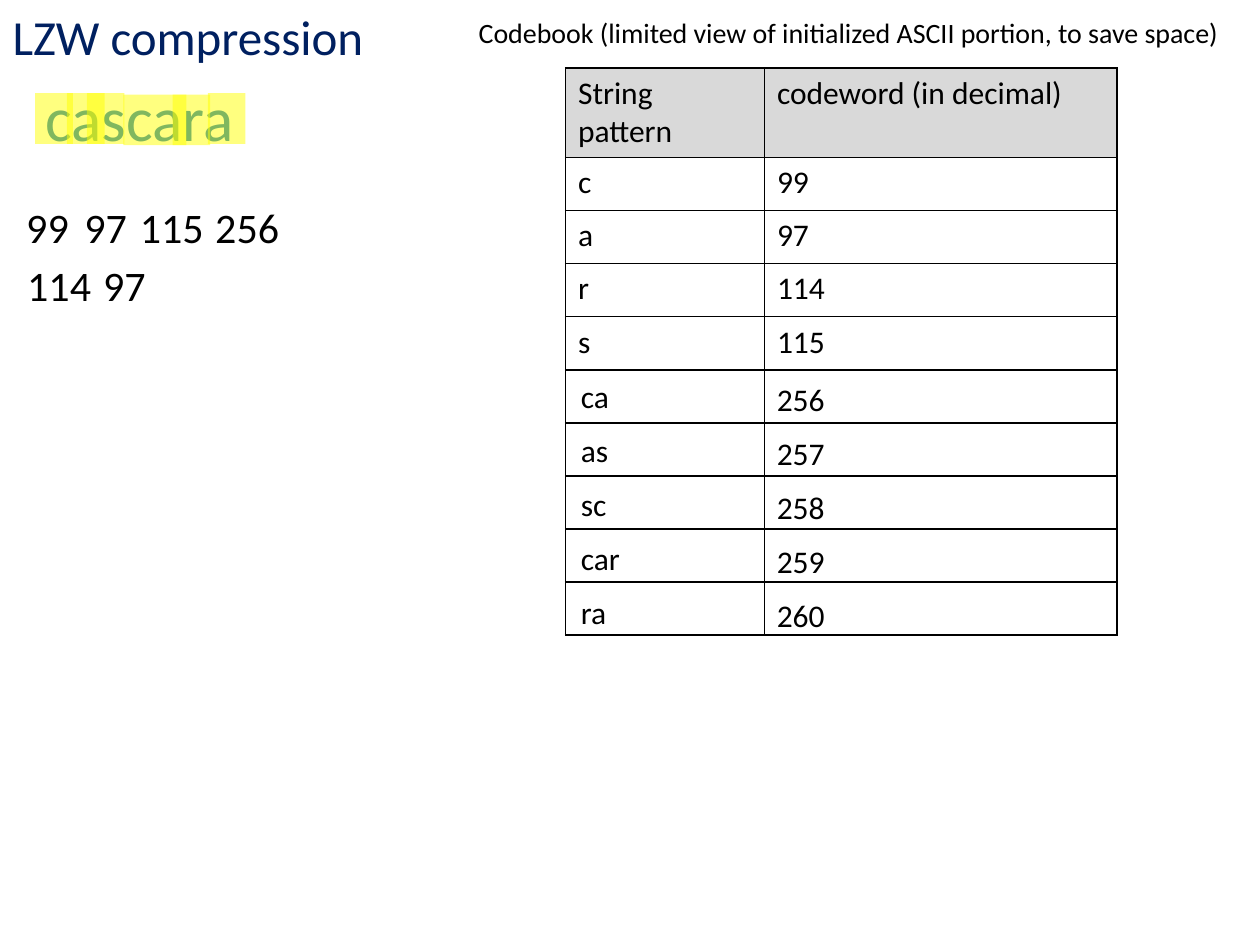
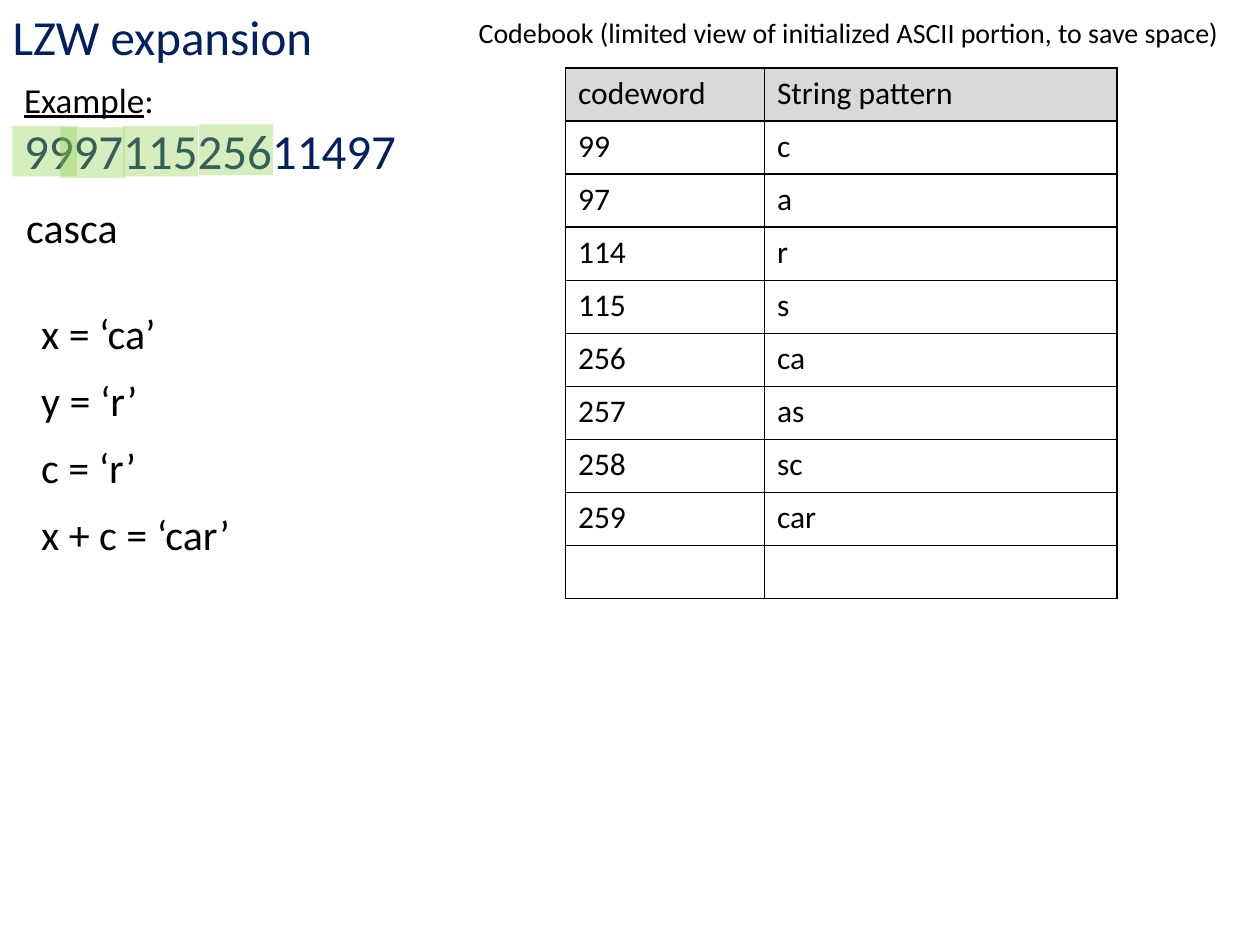
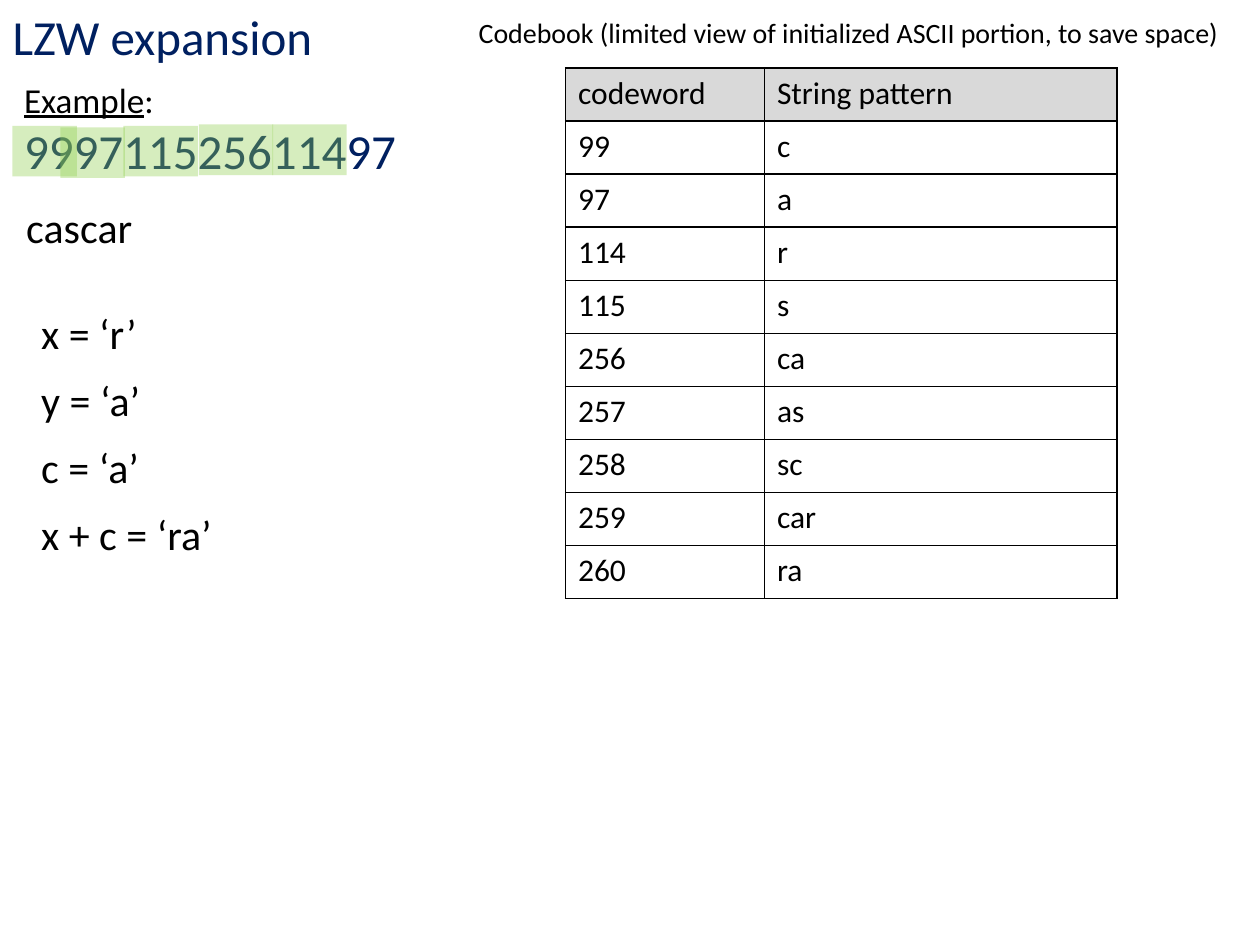
from dataclasses import dataclass

from lxml.etree import SubElement
from pptx import Presentation
from pptx.dml.color import RGBColor
from pptx.enum.shapes import MSO_SHAPE
from pptx.enum.text import MSO_ANCHOR, MSO_AUTO_SIZE, PP_ALIGN
from pptx.oxml.ns import qn
from pptx.util import Cm, Pt

FONT = "Calibri"
BLACK, WHITE, GREY = "000000", "FFFFFF", "D9D9D9"
NAVY, BLUE = "002060", "0070C0"
YELLOW, GREEN = "FFFF00", "92D050"
CAPTION = "Codebook (limited view of initialized ASCII portion, to save space)"
ROW_HEIGHT = 1.07
COLUMN_WIDTHS = (4.01, 7.11)


@dataclass
class Box:
    """A region of the page, in centimetres."""
    left: float
    top: float
    width: float
    height: float

    def inner(self, left, top, width, height):
        return Box(self.left + left, self.top + top, width, height)

    def lengths(self):
        return Cm(self.left), Cm(self.top), Cm(self.width), Cm(self.height)


TITLE_BOX = Box(0, 0, 22.61, 1.45)
CAPTION_BOX = Box(9.4, 0.18, 16.1, 0.94)
CODEBOOK_BOX = Box(11.4, 1.37, sum(COLUMN_WIDTHS), 10 * ROW_HEIGHT)


def color(hex_string):
    return RGBColor.from_string(hex_string)


# Text
def write(para, text, size=18, ink=BLACK, underline=False):
    span = para.add_run()
    span.text = text
    span.font.name = FONT
    span.font.size = Pt(size)
    span.font.color.rgb = color(ink)
    if underline:
        span.font.underline = True


def add_label(shapes, box, text, **style):
    frame = shapes.add_textbox(*box.lengths()).text_frame
    frame.word_wrap = True
    write(frame.paragraphs[0], text, **style)


def place(placeholder, box):
    """Move a placeholder and return its emptied, top-anchored frame."""
    placeholder.left, placeholder.top, placeholder.width, placeholder.height = box.lengths()
    frame = placeholder.text_frame
    frame.auto_size = MSO_AUTO_SIZE.NONE
    frame.word_wrap = True
    frame.vertical_anchor = MSO_ANCHOR.TOP
    return frame


def fill_body(page, box, lines):
    """Each line is a list of (text, style) spans, indented without bullets."""
    frame = place(page.placeholders[1], box)
    for index, spans in enumerate(lines):
        para = frame.add_paragraph() if index else frame.paragraphs[0]
        para.space_before = Pt(0)
        properties = para._p.get_or_add_pPr()
        properties.set("marL", str(Cm(1.27)))
        properties.set("indent", "0")
        SubElement(properties, qn("a:buNone"))
        for text, style in spans:
            write(para, text, **style)


# Translucent marker over the symbols already read
def add_highlight(shapes, box, fill, opacity):
    marker = shapes.add_shape(MSO_SHAPE.RECTANGLE, *box.lengths())
    marker.shadow.inherit = False
    marker.line.fill.background()
    marker.fill.solid()
    marker.fill.fore_color.rgb = color(fill)
    tint = marker._element.spPr.find(".//" + qn("a:srgbClr"))
    SubElement(tint, qn("a:alpha"), val=str(opacity * 1000))


# Codebook table
def border(cell):
    properties = cell._tc.get_or_add_tcPr()
    for position, side in enumerate(("a:lnL", "a:lnR", "a:lnT", "a:lnB")):
        line = properties.makeelement(qn(side), {"w": str(Pt(1))})
        properties.insert(position, line)
        paint = SubElement(line, qn("a:solidFill"))
        SubElement(paint, qn("a:srgbClr"), val=BLACK)


def add_codebook(page, box, rows):
    table = page.shapes.add_table(len(rows), len(COLUMN_WIDTHS), *box.lengths()).table
    table.first_row = table.horz_banding = False
    for column, width in zip(table.columns, COLUMN_WIDTHS):
        column.width = Cm(width)
    for row_index, texts in enumerate(rows):
        table.rows[row_index].height = Cm(ROW_HEIGHT)
        for column_index, text in enumerate(texts):
            cell = table.cell(row_index, column_index)
            cell.fill.solid()
            cell.fill.fore_color.rgb = color(WHITE if row_index else GREY)
            border(cell)
            if text:
                write(cell.text_frame.paragraphs[0], text)


def start_page(deck, title, body_box, body_lines, codebook_rows):
    page = deck.slides.add_slide(deck.slide_layouts[1])
    para = place(page.shapes.title, TITLE_BOX).paragraphs[0]
    para.alignment = PP_ALIGN.LEFT
    write(para, title, size=28, ink=NAVY)
    fill_body(page, body_box, body_lines)
    add_codebook(page, CODEBOOK_BOX, codebook_rows)
    add_label(page.shapes, CAPTION_BOX, CAPTION, size=16)
    return page


# Compression: each step marks symbols, emits a code and may add an entry
def add_step(page, index, output, spot, marker, entry):
    shapes = page.shapes.add_group_shape().shapes
    add_highlight(shapes, marker, YELLOW, 50)
    left, top = spot
    add_label(shapes, Box(left, top, 0.65 + 0.49 * len(output), 1.27), output, size=24)
    if entry:
        pattern, codeword = entry
        row_top = 6.1 + 1.09 * index
        add_label(shapes, CODEBOOK_BOX.inner(0.06, row_top, 2.06, 1.02), pattern)
        add_label(shapes, CODEBOOK_BOX.inner(COLUMN_WIDTHS[0], row_top + 0.06, 2.06, 1.02), codeword)


def compression_page(deck):
    rows = [("String pattern", "codeword (in decimal)"),
            ("c", "99"), ("a", "97"), ("r", "114"), ("s", "115")] + [("", "")] * 5
    word = [[("cascara", dict(size=36, ink=BLUE))]]
    page = start_page(deck, "LZW compression", Box(-0.61, 1.45, 11.3, 3.33), word, rows)
    steps = [
        ("99", (0.28, 3.94), Box(0.71, 1.88, 0.76, 1.02), ("ca", "256")),
        ("97", (1.45, 3.94), Box(1.35, 1.88, 0.76, 1.02), ("as", "257")),
        ("115", (2.57, 3.94), Box(1.75, 1.88, 0.76, 1.02), ("sc", "258")),
        ("256", (4.09, 3.94), Box(2.49, 1.91, 1.27, 1.02), ("car", "259")),
        ("114", (0.3, 5.11), Box(3.48, 1.91, 0.76, 1.02), ("ra", "260")),
        ("97", (1.83, 5.11), Box(4.19, 1.88, 0.76, 1.02), None),
    ]
    for index, step in enumerate(steps):
        add_step(page, index, *step)


# Expansion: codes read so far, text so far and the working variables
READ_CODES = [Box(0.25, 2.54, 1.3, 1.02), Box(1.22, 2.57, 1.3, 1.02),
              Box(2.49, 2.54, 1.5, 1.02), Box(4.01, 2.51, 1.5, 1.02),
              Box(5.49, 2.51, 1.5, 1.02)]
KNOWN_ENTRIES = [("codeword", "String pattern"), ("99", "c"), ("97", "a"),
                 ("114", "r"), ("115", "s"), ("256", "ca"), ("257", "as"),
                 ("258", "sc"), ("259", "car")]


def add_variables(page, box, variables):
    for index, text in enumerate(variables):
        add_label(page.shapes, box.inner(0, 1.35 * index, box.width, 1.27), text, size=24)


def expansion_page(deck, read_count, decoded, decoded_width, variables, last_entry):
    example = [[("Example", dict(size=20, underline=True)), (":", dict(size=20))],
               [("999711525611497", dict(size=28, ink=NAVY))]]
    page = start_page(deck, "LZW expansion", Box(-1.04, 1.45, 10.52, 3.18),
                      example, KNOWN_ENTRIES + [last_entry])
    add_label(page.shapes, Box(0.28, 3.94, decoded_width, 1.27), decoded, size=24)
    add_variables(page, Box(0.58, 6.07, 4.72, 5.32), variables)
    for box in READ_CODES[:read_count]:
        add_highlight(page.shapes, box, GREEN, 37)


def main():
    deck = Presentation()
    deck.slide_width, deck.slide_height = Cm(25.4), Cm(19.05)
    compression_page(deck)
    expansion_page(deck, 4, "casca", 2.59,
                   ["x = ‘ca’", "y = ‘r’", "c = ‘r’", "x + c = ‘car’"], ("", ""))
    expansion_page(deck, 5, "cascar", 3.38,
                   ["x = ‘r’", "y = ‘a’", "c = ‘a’", "x + c = ‘ra’"], ("260", "ra"))
    deck.save("out.pptx")


if __name__ == "__main__":
    main()
